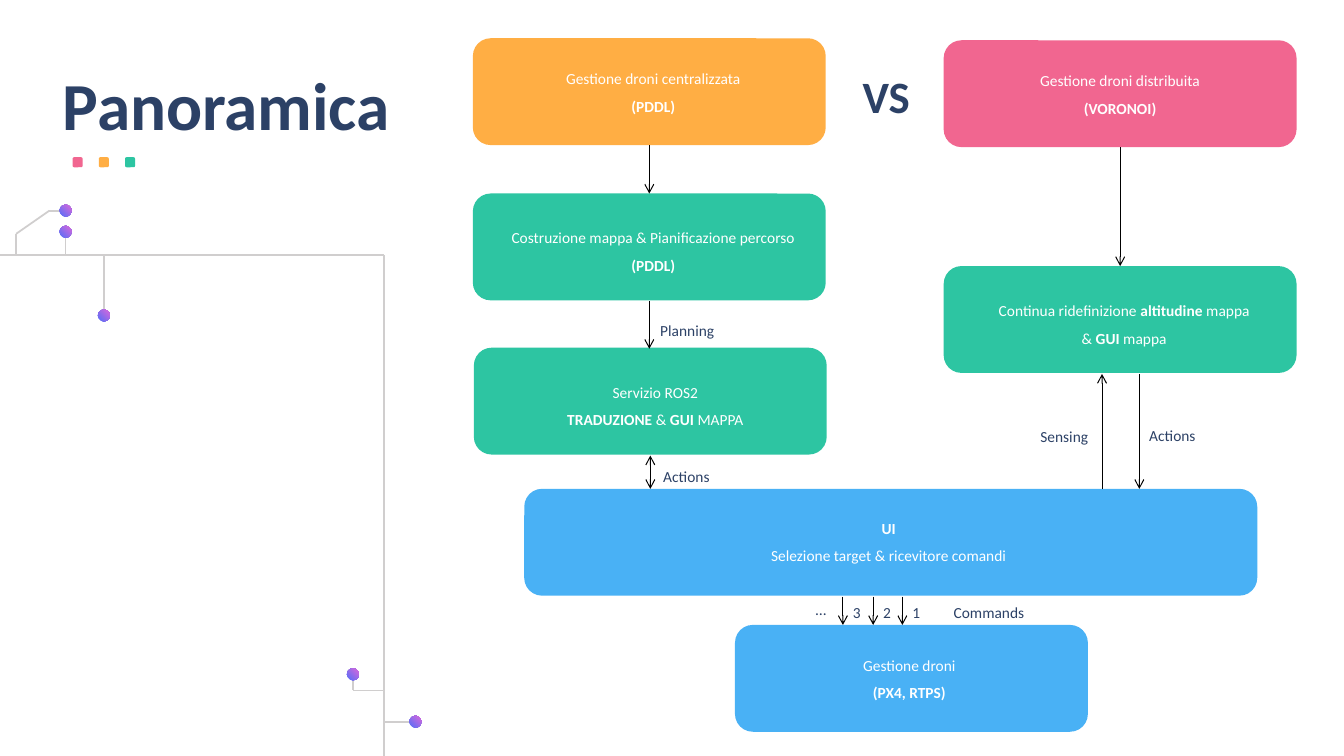
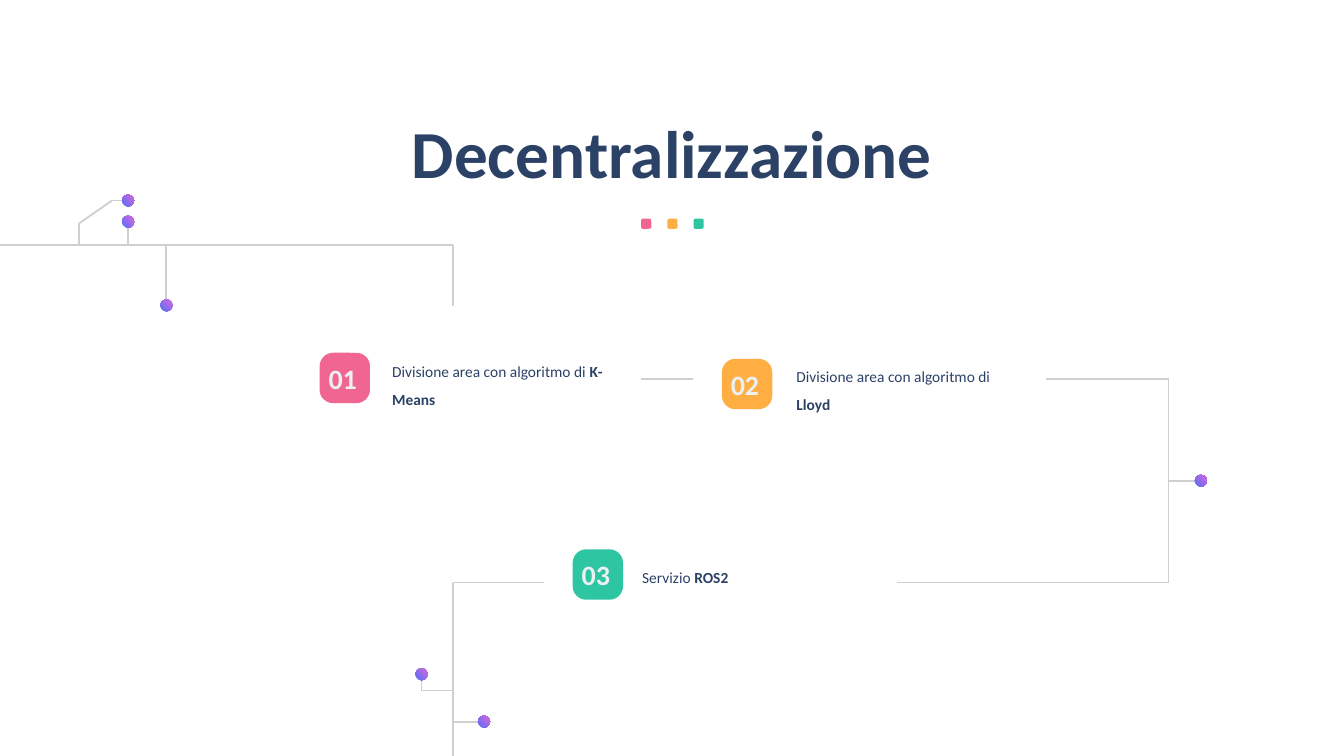
from typing import NamedTuple

from pptx import Presentation
from pptx import util as u
from pptx.dml.color import RGBColor
from pptx.enum import shapes, text
from pptx.oxml.ns import qn
from lxml import etree

FONT = "Calibri"
NAVY = RGBColor(0x2C, 0x41, 0x66)
PINK = RGBColor(0xF1, 0x66, 0x90)
ORANGE = RGBColor(0xFF, 0xAE, 0x44)
GREEN = RGBColor(0x2D, 0xC5, 0xA2)
BLUE = RGBColor(0x49, 0xB1, 0xF5)
WHITE = RGBColor(0xFF, 0xFF, 0xFF)
PALE = RGBColor(0xEC, 0xF0, 0xF3)
BLACK = RGBColor(0, 0, 0)
GREY = RGBColor(0xD0, 0xCE, 0xCE)
DOT_STOPS = ((0.16, RGBColor(0x68, 0x6D, 0xF4)), (0.84, RGBColor(0xC5, 0x69, 0xE0)))

SHAPE = shapes.MSO_SHAPE
CENTER, LEFT = text.PP_ALIGN.CENTER, text.PP_ALIGN.LEFT
MIDDLE, TOP = text.MSO_ANCHOR.MIDDLE, text.MSO_ANCHOR.TOP


class Card(NamedTuple):
    x: float
    y: float
    color: RGBColor
    lines: tuple[str, ...]
    dx: float = 0  # shift of the text from the card's centre
    dy: float = 0
    w: float = 3.5


class Arrow(NamedTuple):
    x: float
    y1: float
    y2: float
    both: bool = False


class Label(NamedTuple):
    x: float
    y: float
    text: str
    w: float = 1.2


class Step(NamedTuple):
    x: float
    y: float
    color: RGBColor
    text: str
    text_x: float
    text_y: float


CARDS = (
    Card(4.69, 0.38, ORANGE, ("Gestione droni centralizzata", "**(PDDL)**"), 0.04, -0.04),
    Card(9.36, 0.4, PINK, ("Gestione droni distribuita", "**(VORONOI)**"), 0, -0.04),
    Card(4.69, 1.92, GREEN,
         ("Costruzione mappa & Pianificazione percorso", "**(PDDL)**"), 0.04),
    Card(4.7, 3.45, GREEN, ("Servizio ROS2", "**TRADUZIONE** & **GUI** MAPPA"), 0.05),
    Card(9.36, 2.64, GREEN,
         ("Continua ridefinizione **altitudine** mappa", "& **GUI** mappa"), 0.04),
    Card(5.2, 4.85, BLUE, ("**UI**", "Selezione target & ricevitore comandi"),
         -0.02, -0.05, w=7.27),
    Card(7.29, 6.2, BLUE, ("Gestione droni", "**(PX4, RTPS)**"), -0.02, -0.04),
)
COMMAND_XS = (8.36, 8.66, 8.95)
ARROWS = (
    Arrow(6.44, 1.44, 1.92),
    Arrow(6.44, 2.99, 3.46),
    Arrow(6.45, 4.52, 4.85, both=True),
    Arrow(11.11, 1.46, 2.64),
    Arrow(10.93, 4.85, 3.71),
    Arrow(11.3, 3.71, 4.85),
    *(Arrow(x, 5.92, 6.2) for x in COMMAND_XS),
)
LABELS = (
    Label(6.45, 3.04, "Planning"),
    Label(6.48, 4.49, "Actions"),
    Label(11.3, 4.09, "Actions"),
    Label(10.22, 4.1, "Sensing"),
    Label(7.99, 5.81, "…", 0.35),
    *(Label(x, 5.84, n, 0.3) for x, n in zip(COMMAND_XS, "321")),
    Label(9.36, 5.84, "Commands"),
)
STEPS = (
    Step(3.17, 3.5, PINK, "Divisione area con algoritmo di **K-Means**", 3.79, 3.45),
    Step(7.16, 3.56, ORANGE, "Divisione area con algoritmo di **Lloyd**", 7.8, 3.5),
    Step(5.68, 5.45, GREEN, "Servizio **ROS2**", 6.27, 5.5),
)


def write(tf, *lines: str, size: float = 11, color: RGBColor = NAVY, align=LEFT,
          anchor=TOP, spacing: float = 1.5,
          margins: tuple[float, float, float, float] = (0.1, 0.05, 0.1, 0.05)) -> None:
    """Fill a text frame, one paragraph per line; **marked** words are bold."""
    tf.word_wrap = True
    tf.auto_size = text.MSO_AUTO_SIZE.NONE
    tf.vertical_anchor = anchor
    tf.margin_left, tf.margin_top, tf.margin_right, tf.margin_bottom = map(u.Inches, margins)
    for i, line in enumerate(lines):
        p = tf.add_paragraph() if i else tf.paragraphs[0]
        p.alignment = align
        p.line_spacing = spacing
        p.space_before = u.Pt(0)
        for k, part in enumerate(line.split("**")):
            if part:
                r = p.add_run()
                r.text = part
                f = r.font
                f.name, f.size, f.bold = FONT, u.Pt(size), k % 2 == 1
                f.color.rgb = color


def add_text(s, x: float, y: float, w: float, h: float, *lines: str, **fmt) -> None:
    box = s.shapes.add_textbox(*map(u.Inches, (x, y, w, h)))
    write(box.text_frame, *lines, **fmt)


def add_box(s, x: float, y: float, w: float, h: float, color: RGBColor):
    sp = s.shapes.add_shape(SHAPE.ROUNDED_RECTANGLE, *map(u.Inches, (x, y, w, h)))
    sp.shadow.inherit = False
    sp.fill.solid()
    sp.fill.fore_color.rgb = color
    sp.line.fill.background()
    return sp


def add_line(s, x1: float, y1: float, x2: float, y2: float,
             color: RGBColor = GREY, width: float = 1.25):
    c = s.shapes.add_connector(shapes.MSO_CONNECTOR.STRAIGHT,
                               *map(u.Inches, (x1, y1, x2, y2)))
    c.line.color.rgb = color
    c.line.width = u.Pt(width)
    etree.SubElement(c.element.spPr, qn("a:effectLst"))
    return c


def add_arrow(s, a: Arrow) -> None:
    c = add_line(s, a.x, a.y1, a.x, a.y2, BLACK, 0.75)
    ln = c.element.spPr.find(qn("a:ln"))
    for end in ("a:headEnd", "a:tailEnd") if a.both else ("a:tailEnd",):
        etree.SubElement(ln, qn(end), type="arrow")


def add_dot(s, cx: float, cy: float, d: float = 0.12) -> None:
    sp = s.shapes.add_shape(SHAPE.OVAL, *map(u.Inches, (cx - d / 2, cy - d / 2, d, d)))
    sp.shadow.inherit = False
    sp.line.fill.background()
    sp.fill.gradient()
    sp.fill.gradient_angle = 45
    for stop, (position, color) in zip(sp.fill.gradient_stops, DOT_STOPS):
        stop.position = position
        stop.color.rgb = color


def add_top_circuit(s, x: float, y: float, trunk_x: float, trunk_end: float) -> None:
    """Rail at height y with its branches; x is the branch with two dots."""
    add_line(s, 0, y, trunk_x, y)
    add_line(s, trunk_x, y, trunk_x, trunk_end)
    add_line(s, x, y - 0.21, x, y)
    add_line(s, x + 0.38, y, x + 0.38, y + 0.66)
    add_line(s, x - 0.49, y, x - 0.49, y - 0.21)
    add_line(s, x - 0.49, y - 0.21, x - 0.16, y - 0.44)
    add_line(s, x - 0.16, y - 0.44, x, y - 0.44)
    for cx, cy in ((x, y - 0.44), (x, y - 0.23), (x + 0.38, y + 0.6)):
        add_dot(s, cx, cy)


def add_bottom_circuit(s, x: float, top: float) -> None:
    add_line(s, x, top, x, 7.5)
    add_line(s, x, 7.16, x + 0.31, 7.16)
    add_line(s, x - 0.31, 6.85, x, 6.85)
    add_line(s, x - 0.31, 6.67, x - 0.31, 6.85)
    add_dot(s, x + 0.31, 7.16)
    add_dot(s, x - 0.31, 6.69)


def add_titled_slide(prs, title: str, x: float, y: float, w: float,
                     squares_x: float, squares_y: float):
    s = prs.slides.add_slide(prs.slide_layouts[5])
    sp = s.shapes.title
    sp.left, sp.top, sp.width, sp.height = map(u.Inches, (x, y, w, 0.91))
    write(sp.text_frame, f"**{title}**", size=48, align=CENTER, spacing=1)
    for i, color in enumerate((PINK, ORANGE, GREEN)):
        add_box(s, squares_x + 0.26 * i, squares_y, 0.1, 0.1, color)
    return s


def add_card(s, card: Card) -> None:
    sp = add_box(s, card.x, card.y, card.w, 1.06, card.color)
    write(sp.text_frame, *card.lines, color=WHITE, align=CENTER, anchor=MIDDLE,
          margins=(0.1 + card.dx, 0.1 + card.dy, 0.1 - card.dx, 0.1 - card.dy))


def add_step(s, number: int, step: Step) -> None:
    sp = add_box(s, step.x, step.y, 0.5, 0.5, step.color)
    sp.adjustments[0] = 0.27
    write(sp.text_frame, f"**{number:02}**", size=20, color=PALE, align=CENTER,
          anchor=MIDDLE, spacing=1, margins=(0, 0, 0.04, 0))
    add_text(s, step.text_x, step.text_y, 2.39, 0.63, step.text)


def build_overview(prs) -> None:
    s = add_titled_slide(prs, "Panoramica", 0.21, 0.58, 4.07, 0.72, 1.56)
    add_top_circuit(s, 0.65, 2.53, trunk_x=3.81, trunk_end=6.15)
    add_bottom_circuit(s, 3.81, top=6.15)
    for card in CARDS:
        add_card(s, card)
    for arrow in ARROWS:
        add_arrow(s, arrow)
    for label in LABELS:
        add_text(s, label.x, label.y, label.w, 0.35, label.text)
    add_text(s, 8.13, 0.63, 1.32, 0.64, "**VS**", size=32, align=CENTER, spacing=1)


def build_decentralization(prs) -> None:
    s = add_titled_slide(prs, "Decentralizzazione", 2.33, 1.05, 8.67, 6.36, 2.17)
    add_top_circuit(s, 1.27, 2.43, trunk_x=4.49, trunk_end=3.04)
    add_bottom_circuit(s, 4.49, top=5.78)
    for x1, x2, y in ((6.36, 6.87, 3.76), (10.37, 11.59, 3.76), (4.49, 5.4, 5.78),
                      (8.9, 11.59, 5.78), (11.59, 11.9, 4.77)):
        add_line(s, x1, y, x2, y)
    add_line(s, 11.59, 3.76, 11.59, 5.78)
    add_dot(s, 11.91, 4.77)
    for number, step in enumerate(STEPS, 1):
        add_step(s, number, step)


def main() -> None:
    prs = Presentation()
    prs.slide_width, prs.slide_height = u.Inches(13.33), u.Inches(7.5)
    build_overview(prs)
    build_decentralization(prs)
    prs.save("out.pptx")


if __name__ == "__main__":
    main()
